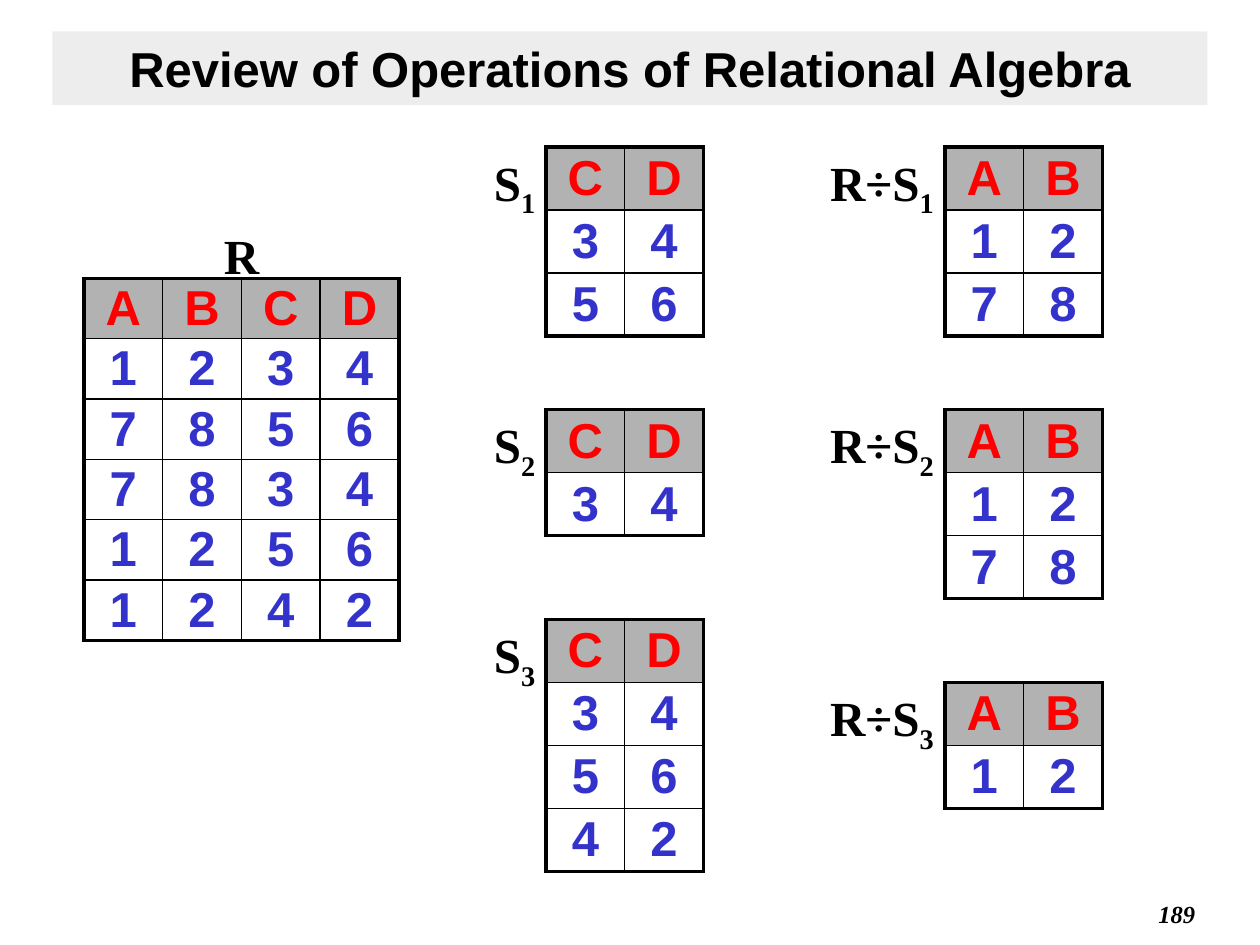
from lxml.etree import SubElement
from pptx import Presentation
from pptx.dml.color import RGBColor
from pptx.enum.shapes import MSO_SHAPE as Shape
from pptx.enum.text import MSO_ANCHOR as Anchor, PP_ALIGN as Align
from pptx.oxml.ns import qn
from pptx.util import Pt

SANS, SERIF = "Arial", "Times New Roman"
BLACK, RED, BLUE, GRAY, PALE = "000000", "FF0000", "3333CC", "B2B2B2", "DDDDDD"
COLUMN_WIDTH = 45
ROW_HEIGHT = 36
OUTER_LINE, INNER_LINE = 2.25, 1


def color(hex_string):
    return RGBColor.from_string(hex_string)


def write_text(frame, text, subscript="", font=SANS, size=28, hex_color=BLACK,
               italic=False, align=Align.CENTER):
    paragraph = frame.paragraphs[0]
    paragraph.alignment = align
    for content in filter(None, (text, subscript)):
        run = paragraph.add_run()
        run.text = content
        run.font.name = font
        run.font.size = Pt(size)
        run.font.bold = True
        run.font.italic = italic
        run.font.color.rgb = color(hex_color)
    if subscript:
        run.font._element.set("baseline", "-25000")


def add_title(slide, text):
    shape = slide.shapes.add_shape(Shape.RECTANGLE, Pt(30), Pt(18), Pt(660), Pt(42))
    shape.shadow.inherit = False
    shape.line.fill.background()
    shape.fill.solid()
    shape.fill.fore_color.rgb = color(PALE)
    fill_color = shape._element.spPr.find(qn("a:solidFill"))[0]
    SubElement(fill_color, qn("a:alpha"), val="50000")
    shape.text_frame.vertical_anchor = Anchor.MIDDLE
    write_text(shape.text_frame, text)


def add_label(slide, left, top, width, height, text, subscript=""):
    frame = slide.shapes.add_textbox(Pt(left), Pt(top), Pt(width), Pt(height)).text_frame
    frame.word_wrap = True
    frame.margin_left = frame.margin_right = frame.margin_bottom = 0
    frame.margin_top = Pt(3)
    write_text(frame, text, subscript, font=SERIF)


def add_page_number(slide, number):
    frame = slide.shapes.add_textbox(Pt(540), Pt(510), Pt(150), Pt(24)).text_frame
    frame.word_wrap = True
    write_text(frame, number, font=SERIF, size=14, italic=True, align=Align.RIGHT)


def set_borders(cell, **widths):
    """Draw black borders; widths in points keyed by lnL, lnR, lnT and lnB."""
    properties = cell._tc.get_or_add_tcPr()
    for position, (tag, width) in enumerate(widths.items()):
        line = SubElement(properties, qn(f"a:{tag}"), w=str(int(Pt(width))))
        properties.insert(position, line)
        fill = SubElement(line, qn("a:solidFill"))
        SubElement(fill, qn("a:srgbClr"), val=BLACK)


def add_relation(slide, left, top, rows, row_height=ROW_HEIGHT):
    """Add a table from row strings, one character per cell, header first."""
    row_count, column_count = len(rows), len(rows[0])
    table = slide.shapes.add_table(
        row_count, column_count, Pt(left), Pt(top),
        Pt(COLUMN_WIDTH * column_count), Pt(row_height * row_count)).table
    table.first_row = table.horz_banding = False
    for column in table.columns:
        column.width = Pt(COLUMN_WIDTH)
    for r, values in enumerate(rows):
        table.rows[r].height = Pt(row_height)
        for c, value in enumerate(values):
            cell = table.cell(r, c)
            cell.margin_left = cell.margin_right = cell.margin_top = cell.margin_bottom = 0
            cell.vertical_anchor = Anchor.MIDDLE
            if r == 0:
                cell.fill.solid()
                cell.fill.fore_color.rgb = color(GRAY)
            else:
                cell.fill.background()
            write_text(cell.text_frame, value, hex_color=BLUE if r else RED)
            set_borders(
                cell,
                lnL=OUTER_LINE if c == 0 else INNER_LINE,
                lnR=OUTER_LINE if c == column_count - 1 else INNER_LINE,
                lnT=OUTER_LINE if r == 0 else INNER_LINE,
                lnB=OUTER_LINE if r == row_count - 1 else INNER_LINE)


def add_labelled_relation(slide, left, top, label_width, label, subscript, rows):
    add_relation(slide, left, top, rows)
    add_label(slide, left - label_width, top, label_width, 39.6, label, subscript)


def main():
    presentation = Presentation()
    presentation.slide_width, presentation.slide_height = Pt(720), Pt(540)
    slide = presentation.slides.add_slide(presentation.slide_layouts[6])

    add_page_number(slide, "189")
    add_title(slide, "Review of Operations of Relational Algebra")
    add_relation(slide, 48, 159, ["ABCD", "1234", "7856", "7834", "1256", "1242"],
                 row_height=34.5)
    add_label(slide, 48, 126, 180, 33.6, "R")

    divisions = [
        (84, ["CD", "34", "56"], 84, ["AB", "12", "78"]),
        (234, ["CD", "34"], 234, ["AB", "12", "78"]),
        (354, ["CD", "34", "56", "42"], 390, ["AB", "12"]),
    ]
    for number, (divisor_top, divisor, quotient_top, quotient) in enumerate(divisions, 1):
        add_labelled_relation(slide, 312, divisor_top, 36, "S", str(number), divisor)
        add_labelled_relation(slide, 540, quotient_top, 72, "R÷S", str(number), quotient)

    presentation.save("out.pptx")


if __name__ == "__main__":
    main()
